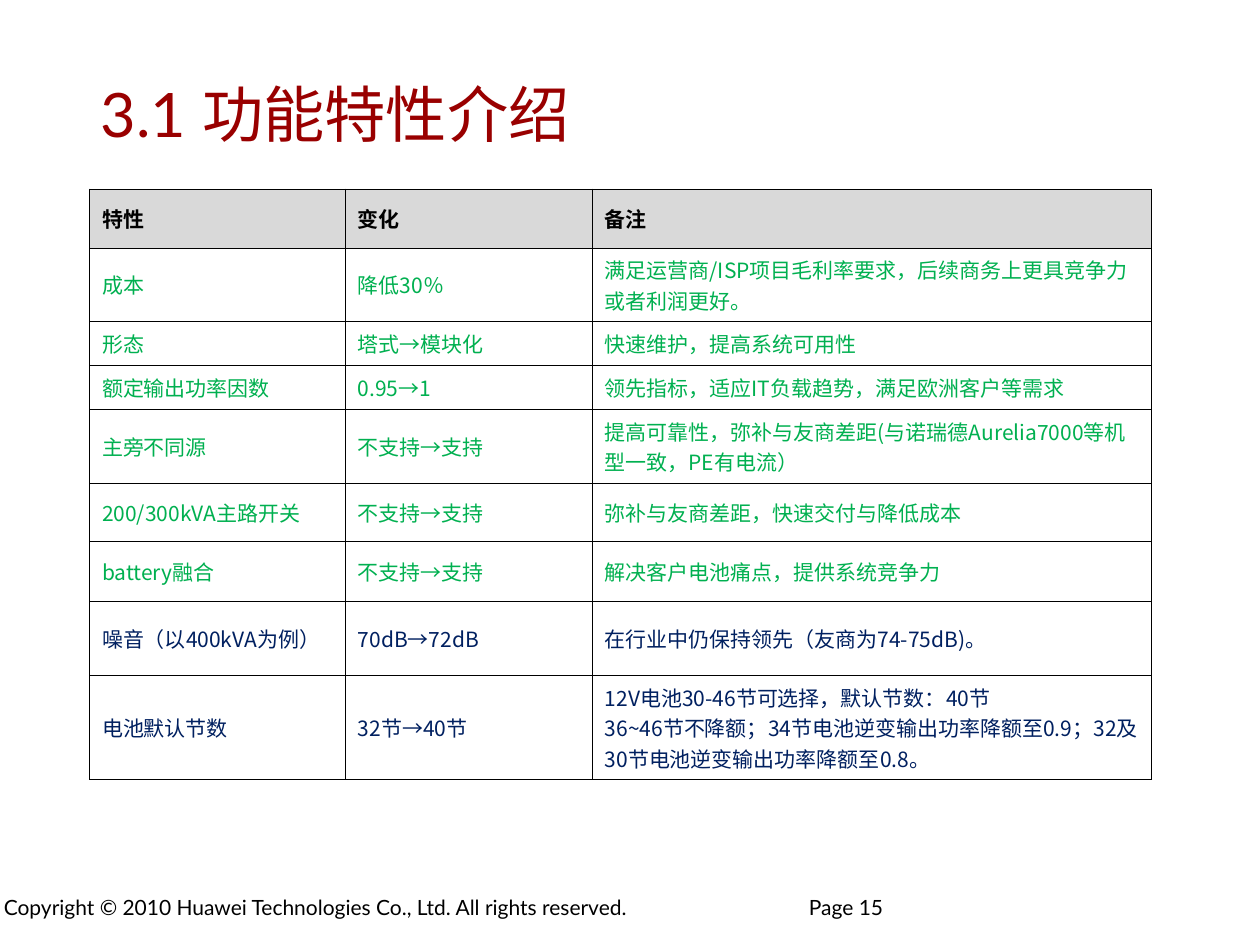
from lxml.etree import SubElement as Sub
from pptx import Presentation
from pptx.dml.color import RGBColor as RGB
from pptx.enum.text import MSO_ANCHOR as Anchor
from pptx.oxml.ns import qn
from pptx.util import Inches, Pt

CJK = "Noto Sans CJK SC"
BLACK, GREEN, NAVY = "000000", "00B050", "002060"


def style(frame, face, size, color, bold=False):
    for para in frame.paragraphs:
        for run in para.runs:
            run.font.name = face
            run.font.size = Pt(size)
            run.font.bold = bold
            run.font.color.rgb = RGB.from_string(color)
            Sub(run.font._element, qn("a:ea"), typeface=CJK)


def edge(cell, color, width):
    props = cell._tc.get_or_add_tcPr()
    for side in ("lnL", "lnR", "lnT", "lnB"):
        line = Sub(props, qn("a:" + side), w=str(Pt(width)))
        Sub(Sub(line, qn("a:solidFill")), qn("a:srgbClr"), val=color)


deck = Presentation()
deck.slide_width, deck.slide_height = Inches(10), Inches(7.5)
slide = deck.slides.add_slide(deck.slide_layouts[6])

labels = [
    ("Copyright © 2010 Huawei Technologies Co., Ltd. All rights reserved.",
     (-0.06, 7.06, 7, 0.29), 12, BLACK, Anchor.TOP),
    ("Page 15", (6.33, 7.06, 1.48, 0.29), 12, BLACK, Anchor.TOP),
    ("3.1 功能特性介绍", (0.71, 0.42, 8.47, 0.95), 35, "990000", Anchor.MIDDLE),
]
for text, place, size, color, anchor in labels:
    frame = slide.shapes.add_textbox(*map(Inches, place)).text_frame
    frame.word_wrap = True
    frame.vertical_anchor = anchor
    frame.margin_left = frame.margin_right = Inches(0.09)
    frame.margin_top = frame.margin_bottom = Inches(0.04)
    frame.text = text
    style(frame, "Lato", size, color)

cols = [2.03, 1.96, 4.44]
rows = [
    (0.47, BLACK, "特性", "变化", "备注"),
    (0.58, GREEN, "成本", "降低30％",
     "满足运营商/ISP项目毛利率要求，后续商务上更具竞争力或者利润更好。"),
    (0.35, GREEN, "形态", "塔式→模块化", "快速维护，提高系统可用性"),
    (0.35, GREEN, "额定输出功率因数", "0.95→1",
     "领先指标，适应IT负载趋势，满足欧洲客户等需求"),
    (0.59, GREEN, "主旁不同源", "不支持→支持",
     "提高可靠性，弥补与友商差距(与诺瑞德Aurelia7000等机型一致，PE有电流）"),
    (0.46, GREEN, "200/300kVA主路开关", "不支持→支持",
     "弥补与友商差距，快速交付与降低成本"),
    (0.47, GREEN, "battery融合", "不支持→支持",
     "解决客户电池痛点，提供系统竞争力"),
    (0.59, NAVY, "噪音（以400kVA为例）", "70dB→72dB",
     "在行业中仍保持领先（友商为74-75dB)。"),
    (0.83, NAVY, "电池默认节数", "32节→40节",
     "12V电池30-46节可选择，默认节数：40节\n"
     "36~46节不降额；34节电池逆变输出功率降额至0.9；32及30节电池逆变输出功率降额至0.8。"),
]
high = sum(row[0] for row in rows)
table = slide.shapes.add_table(
    len(rows), len(cols), Inches(0.71), Inches(1.5),
    Inches(sum(cols)), Inches(high)).table
table.first_row = table.horz_banding = False
for col, width in zip(table.columns, cols):
    col.width = Inches(width)
for r, (height, color, *texts) in enumerate(rows):
    table.rows[r].height = Inches(height)
    for c, text in enumerate(texts):
        cell = table.cell(r, c)
        cell.text_frame.text = text
        cell.vertical_anchor = Anchor.MIDDLE
        style(cell.text_frame, CJK, 12, color, r == 0)
        edge(cell, BLACK, 0.45)
        if r == 0:
            cell.fill.solid()
            cell.fill.fore_color.rgb = RGB.from_string("D9D9D9")
        else:
            cell.fill.background()

deck.save("out.pptx")
